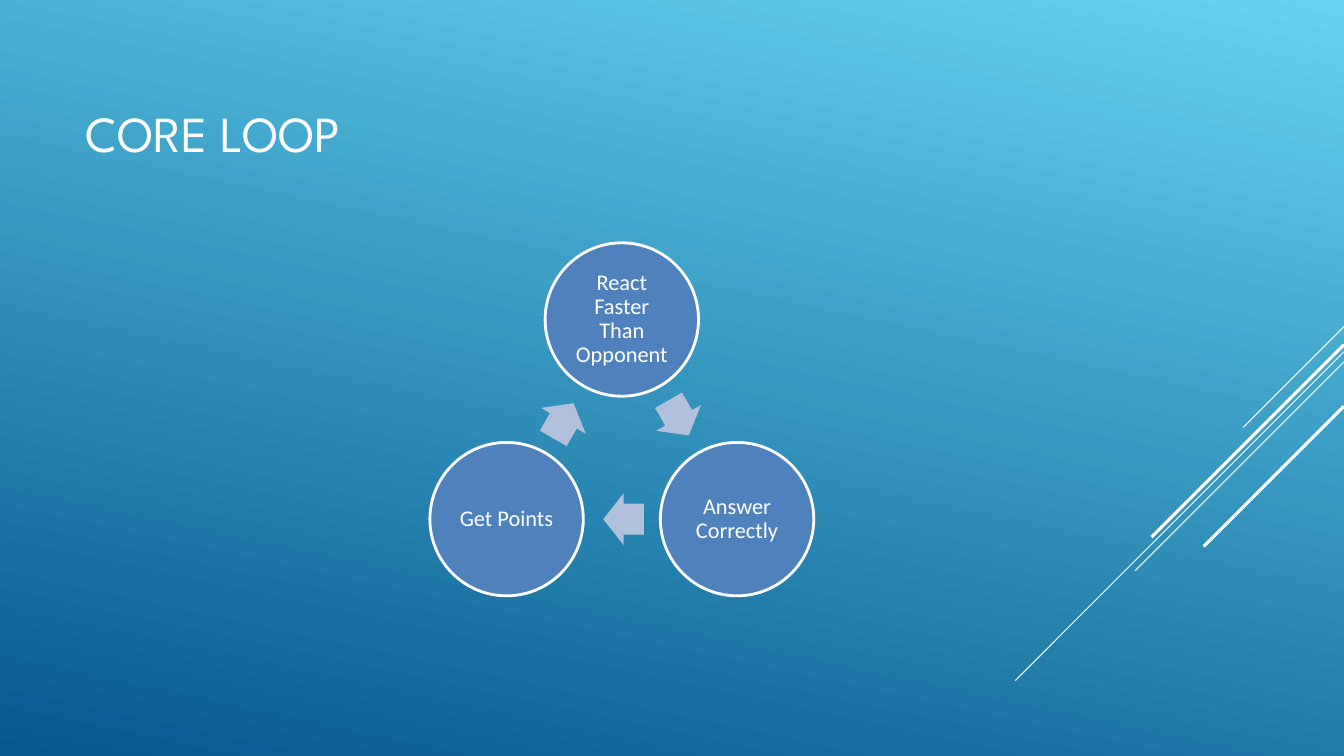
from math import cos, radians, sin

from lxml.etree import SubElement
from pptx import Presentation
from pptx.dml.color import RGBColor
from pptx.enum.shapes import MSO_CONNECTOR, MSO_SHAPE
from pptx.enum.text import MSO_ANCHOR, PP_ALIGN
from pptx.oxml.ns import qn
from pptx.util import Pt

WIDTH, HEIGHT = 960, 540
WHITE, NODE_BLUE, ARROW_BLUE = "FFFFFF", "4F81BD", "B2C1DB"

# Loop geometry: node centres lie on a circle, one every 120 degrees.
CENTRE_X, CENTRE_Y, LOOP_RADIUS = 444.2, 323.3, 95.05
NODE_SIZE = 109.6
ARROW_WIDTH, ARROW_HEIGHT, ARROW_SETBACK = 29, 36.9, 1.2
STEPS = ["React Faster Than Opponent", "Answer Correctly", "Get Points"]

# Diagonal lines from the right edge: top, horizontal run, line width.
DIAGONALS = [
    (233.3, 72, 0.75),
    (251.3, 234.8, 0.75),
    (258.5, 149.3, 0.75),
    (246.2, 137.5, 2.25),
    (290.2, 100.2, 2.25),
]


def color(value):
    return RGBColor.from_string(value)


def apply_formats(target, formats):
    """Set each attribute named in a dict of format values."""
    for name, value in formats.items():
        setattr(target, name, value)


class LoopSlide:
    title_font = {"name": "League Spartan", "size": Pt(36)}
    node_font = {"name": "Calibri", "size": Pt(16)}
    node_paragraph = {"alignment": PP_ALIGN.CENTER, "line_spacing": 0.9}
    node_margins = {
        f"margin_{side}": Pt(1.6) for side in ("left", "top", "right", "bottom")
    }

    def __init__(self, presentation):
        self.slide = presentation.slides.add_slide(presentation.slide_layouts[6])

    def background(self, stops, angle):
        """Fill with a two-colour gradient; angle is clockwise in degrees."""
        fill = self.slide.background.fill
        fill.gradient()
        fill.gradient_angle = 360 - angle
        for stop, value in zip(fill.gradient_stops, stops):
            stop.color.rgb = color(value)

    def line(self, start, end, width):
        connector = self.slide.shapes.add_connector(
            MSO_CONNECTOR.STRAIGHT, *map(Pt, start + end)
        )
        connector.line.color.rgb = color(WHITE)
        connector.line.width = Pt(width)
        SubElement(connector._element.spPr, qn("a:effectLst"))

    def set_text(self, shape, text, font, paragraph_format, frame_format):
        frame = shape.text_frame
        apply_formats(frame, {"word_wrap": True, "vertical_anchor": MSO_ANCHOR.MIDDLE})
        apply_formats(frame, frame_format)
        paragraph = frame.paragraphs[0]
        paragraph.text = text
        apply_formats(paragraph, paragraph_format)
        apply_formats(paragraph.font, font)
        paragraph.font.color.rgb = color(WHITE)

    def title(self, text, left, top, width, height):
        box = self.slide.shapes.add_textbox(*map(Pt, (left, top, width, height)))
        self.set_text(box, text, self.title_font, {}, {})

    def centred_shape(self, kind, centre, width, height, fill):
        x, y = centre
        shape = self.slide.shapes.add_shape(
            kind, *map(Pt, (x - width / 2, y - height / 2, width, height))
        )
        shape.shadow.inherit = False
        shape.fill.solid()
        shape.fill.fore_color.rgb = color(fill)
        return shape

    def node(self, text, centre):
        circle = self.centred_shape(
            MSO_SHAPE.OVAL, centre, NODE_SIZE, NODE_SIZE, NODE_BLUE
        )
        circle.line.color.rgb = color(WHITE)
        circle.line.width = Pt(2)
        self.set_text(
            circle, text, self.node_font, self.node_paragraph, self.node_margins
        )

    def arrow(self, centre, angle):
        arrow = self.centred_shape(
            MSO_SHAPE.RIGHT_ARROW, centre, ARROW_WIDTH, ARROW_HEIGHT, ARROW_BLUE
        )
        arrow.adjustments[0] = 0.6
        arrow.adjustments[1] = 0.5
        arrow.rotation = angle
        arrow.line.fill.background()


def polar(radius, angle):
    """Return the point at a clockwise angle around the loop centre."""
    return (
        CENTRE_X + radius * cos(radians(angle)),
        CENTRE_Y + radius * sin(radians(angle)),
    )


def main():
    presentation = Presentation()
    presentation.slide_width, presentation.slide_height = Pt(WIDTH), Pt(HEIGHT)
    page = LoopSlide(presentation)
    page.background(("64D4EF", "06588E"), 102)
    for top, run, width in DIAGONALS:
        page.line((WIDTH, top), (WIDTH - run, top + run), width)
    page.title("CORE LOOP", 54, 35.3, 672, 118.8)

    for index, step in enumerate(STEPS):
        node_angle = 120 * index - 90
        page.node(step, polar(LOOP_RADIUS, node_angle))
        # The arrow sits midway to the next node, set back a little.
        x, y = polar(LOOP_RADIUS / 2, node_angle + 60)
        heading = node_angle + 150
        page.arrow(
            (
                x - ARROW_SETBACK * cos(radians(heading)),
                y - ARROW_SETBACK * sin(radians(heading)),
            ),
            heading,
        )
    presentation.save("out.pptx")


if __name__ == "__main__":
    main()
